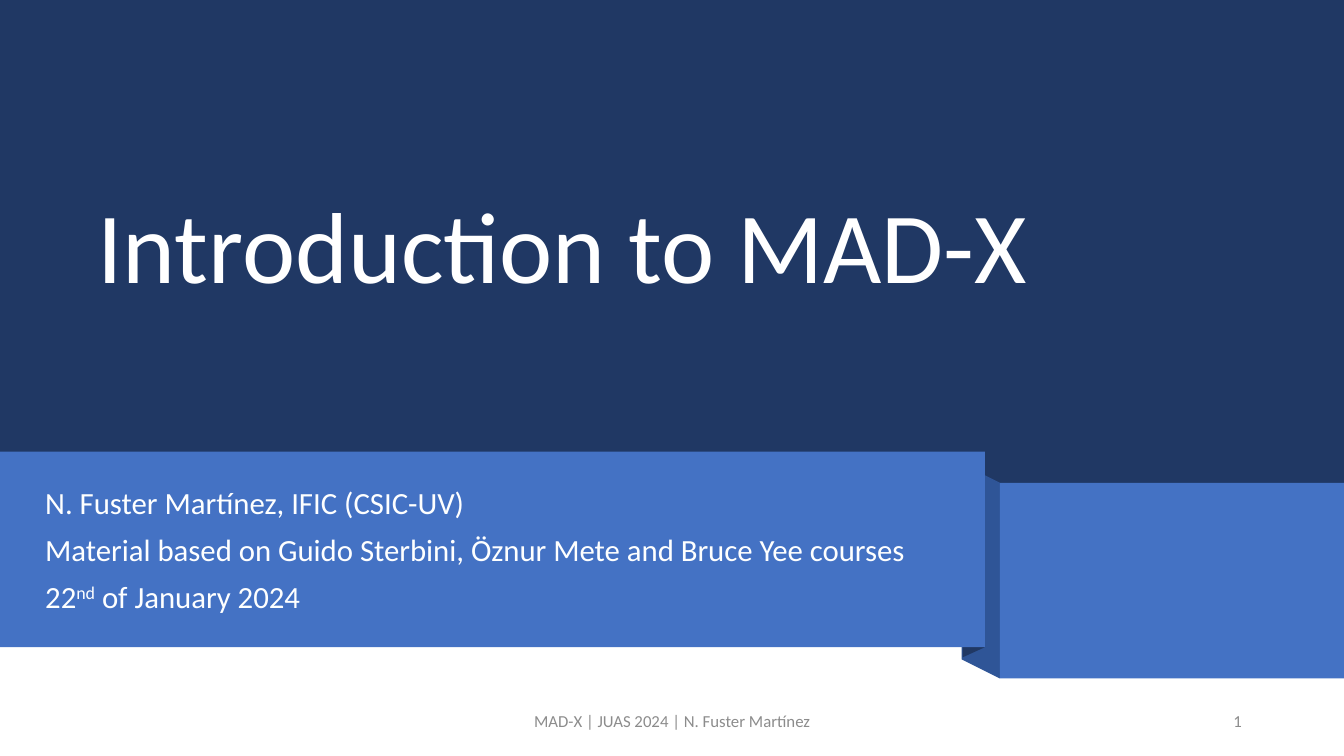
from pptx import Presentation
from pptx.dml.color import RGBColor
from pptx.enum.shapes import MSO_SHAPE as Shape
from pptx.enum.text import MSO_ANCHOR as Anchor, PP_ALIGN as Align
from pptx.util import Inches, Pt

NAVY = RGBColor(0x20, 0x38, 0x64)
FOLD_BLUE = RGBColor(0x2F, 0x55, 0x97)
BAND_BLUE = RGBColor(0x44, 0x72, 0xC4)
WHITE = RGBColor(0xFF, 0xFF, 0xFF)
SOFT_WHITE = RGBColor(0xFE, 0xFF, 0xFF)
GREY = RGBColor(0x8C, 0x8C, 0x8C)

COLUMNS, ROWS = 160, 90  # square cells, twelve to the inch


class SlideBuilder:
    """Holds the font, the grid and the current slide."""

    font_name = "Calibri"

    def __init__(self, deck):
        self.cell_width = deck.slide_width / COLUMNS
        self.cell_height = deck.slide_height / ROWS
        self.slide = deck.slides.add_slide(deck.slide_layouts[6])

    def place(self, column, row):
        return round(column * self.cell_width), round(row * self.cell_height)

    def paint(self, shape, colour):
        shape.shadow.inherit = False
        shape.fill.solid()
        shape.fill.fore_color.rgb = colour
        shape.line.fill.background()

    def band(self, column, row, width, height, colour):
        band = self.slide.shapes.add_shape(
            Shape.RECTANGLE, *self.place(column, row), *self.place(width, height))
        self.paint(band, colour)

    def fold(self, left, right, left_top, right_top, height, colour):
        """Draw a slanted strip with upright sides."""
        corners = [(left, left_top), (right, right_top),
                   (right, right_top + height), (left, left_top + height)]
        start, *others = [self.place(*corner) for corner in corners]
        outline = self.slide.shapes.build_freeform(*start)
        outline.add_line_segments(others, close=True)
        self.paint(outline.convert_to_shape(), colour)

    def text(self, column, row, width, height, paragraphs, size, colour,
             anchor=Anchor.TOP, top_inset=0.05, gap=0, **paragraph_format):
        """Write paragraphs, each a list of (text, is_superscript) pairs."""
        box = self.slide.shapes.add_textbox(
            *self.place(column, row), *self.place(width, height))
        frame = box.text_frame
        frame.word_wrap = True
        frame.vertical_anchor = anchor
        frame.margin_top = Inches(top_inset)
        font_format = {"name": self.font_name, "size": Pt(size)}
        for index, pieces in enumerate(paragraphs):
            paragraph = frame.add_paragraph() if index else frame.paragraphs[0]
            paragraph.space_before = Pt(gap if index else 0)
            for attribute, value in paragraph_format.items():
                setattr(paragraph, attribute, value)
            for words, is_superscript in pieces:
                run = paragraph.add_run()
                run.text = words
                for attribute, value in font_format.items():
                    setattr(run.font, attribute, value)
                run.font.color.rgb = colour
                if is_superscript:
                    run._r.get_or_add_rPr().set("baseline", "30000")


def main():
    deck = Presentation()
    deck.slide_width, deck.slide_height = Inches(13.333), Inches(7.5)
    cover = SlideBuilder(deck)

    # Dark upper area with the title
    cover.band(0, 0, COLUMNS, 59.76, NAVY)
    cover.text(10.44, 8.4, 133.2, 41.88, [[("Introduction to MAD-X", False)]],
               72, WHITE, Anchor.MIDDLE, top_inset=0.14, line_spacing=0.9)

    # Folded ribbon
    ribbon_height = 23.3
    front_right, front_top = 117.24, 53.76
    side_left, side_top = 119.04, 57.48
    cover.fold(114.48, side_left, 55.2, side_top, ribbon_height, FOLD_BLUE)
    cover.fold(114.6, front_right, 54.96, front_top, ribbon_height, NAVY)
    cover.band(0, front_top, front_right, ribbon_height, BAND_BLUE)
    cover.band(side_left, side_top, COLUMNS - side_left, ribbon_height, BAND_BLUE)

    # Author, credits and date
    credits = [
        [("N. Fuster Martínez, IFIC (CSIC-UV)", False)],
        [("Material based on Guido Sterbini, Öznur Mete and Bruce Yee courses", False)],
        [("22", False), ("nd", True), (" of January 2024", False)],
    ]
    cover.text(4.2, side_top, 110.88, 16.8, credits, 22, SOFT_WHITE,
               gap=10, line_spacing=0.9)

    # Footer and slide number
    for column, width, words, alignment in (
            (113.04, 36, "1", Align.RIGHT),
            (53.04, 54, "MAD-X | JUAS 2024 | N. Fuster Martínez", Align.CENTER)):
        cover.text(column, 83.4, width, 4.8, [[(words, False)]], 12, GREY,
                   Anchor.MIDDLE, alignment=alignment)

    deck.save("out.pptx")


if __name__ == "__main__":
    main()
